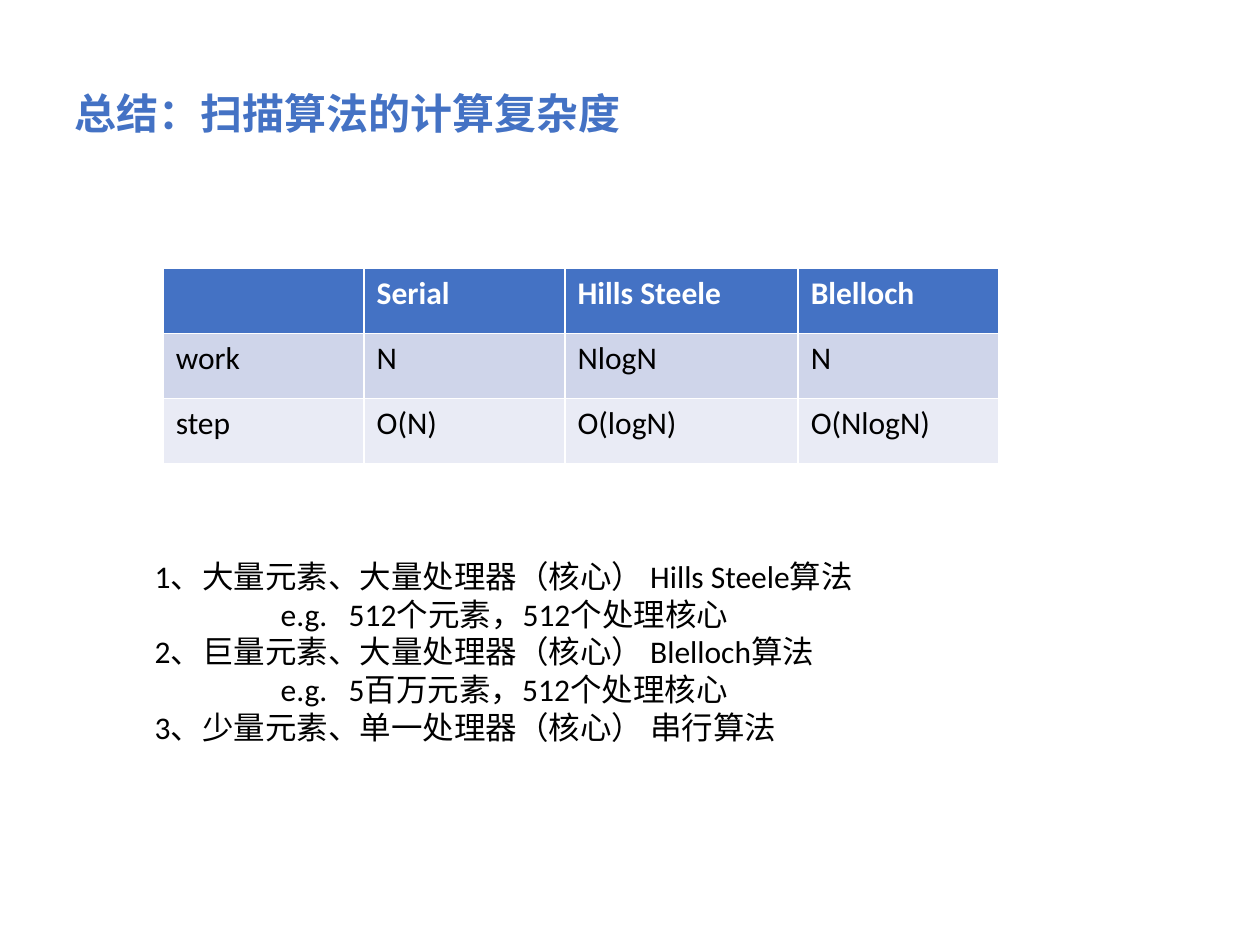
from lxml.etree import SubElement
from pptx import Presentation
from pptx.dml.color import RGBColor
from pptx.oxml.ns import qn
from pptx.util import Cm, Pt

BLUE, WHITE, BLACK = "4472C4", "FFFFFF", "000000"
BAND_FILLS = [BLUE, "CFD5EA", "E9EBF5"]


def write(paragraph, text, color, size=18, bold=False):
    span = paragraph.add_run()
    span.text = text
    font_values = {"name": "Calibri", "size": Pt(size), "bold": bold}
    for name, value in font_values.items():
        setattr(span.font, name, value)
    span.font.color.rgb = RGBColor.from_string(color)


deck = Presentation()
deck.slide_width, deck.slide_height = Cm(25.4), Cm(19.05)
page = deck.slides.add_slide(deck.slide_layouts[6])

# Title
title_box = page.shapes.add_textbox(Cm(1.25), Cm(1.63), Cm(11.63), Cm(1.27))
title_box.text_frame.word_wrap = False
write(title_box.text_frame.paragraphs[0], "总结：扫描算法的计算复杂度", BLUE, 24, True)

# Complexity table; the default table style draws the white cell borders
complexity = [
    ["", "Serial", "Hills Steele", "Blelloch"],
    ["work", "N", "NlogN", "N"],
    ["step", "O(N)", "O(logN)", "O(NlogN)"],
]
column_widths = [4.05, 4.05, 4.7, 4.05]
table = page.shapes.add_table(
    len(complexity), len(column_widths),
    Cm(3.29), Cm(5.41), Cm(sum(column_widths)), Cm(3.93),
).table
for column, width in zip(table.columns, column_widths):
    column.width = Cm(width)
for row_index, row in enumerate(complexity):
    header = row_index == 0
    for column_index, text in enumerate(row):
        cell = table.cell(row_index, column_index)
        cell.fill.solid()
        cell.fill.fore_color.rgb = RGBColor.from_string(BAND_FILLS[row_index])
        if text:
            write(cell.text_frame.paragraphs[0], text,
                  WHITE if header else BLACK, bold=header)

# When to use which algorithm; tab stops place the examples
advice = [
    "1、大量元素、大量处理器（核心） Hills Steele算法",
    "\te.g.\t512个元素，512个处理核心",
    "2、巨量元素、大量处理器（核心） Blelloch算法",
    "\te.g.\t5百万元素，512个处理核心",
    "3、少量元素、单一处理器（核心） 串行算法",
]
advice_box = page.shapes.add_textbox(Cm(2.87), Cm(11.1), Cm(14.73), Cm(4.11))
frame = advice_box.text_frame
frame.word_wrap = True
for index, text in enumerate(advice):
    paragraph = frame.paragraphs[0] if index == 0 else frame.add_paragraph()
    write(paragraph, text, BLACK)
    if text.startswith("\t"):
        tab_list = SubElement(paragraph._p.get_or_add_pPr(), qn("a:tabLst"))
        for stop in (2.54, 3.91):
            SubElement(tab_list, qn("a:tab"), pos=str(Cm(stop)), algn="l")

deck.save("out.pptx")
